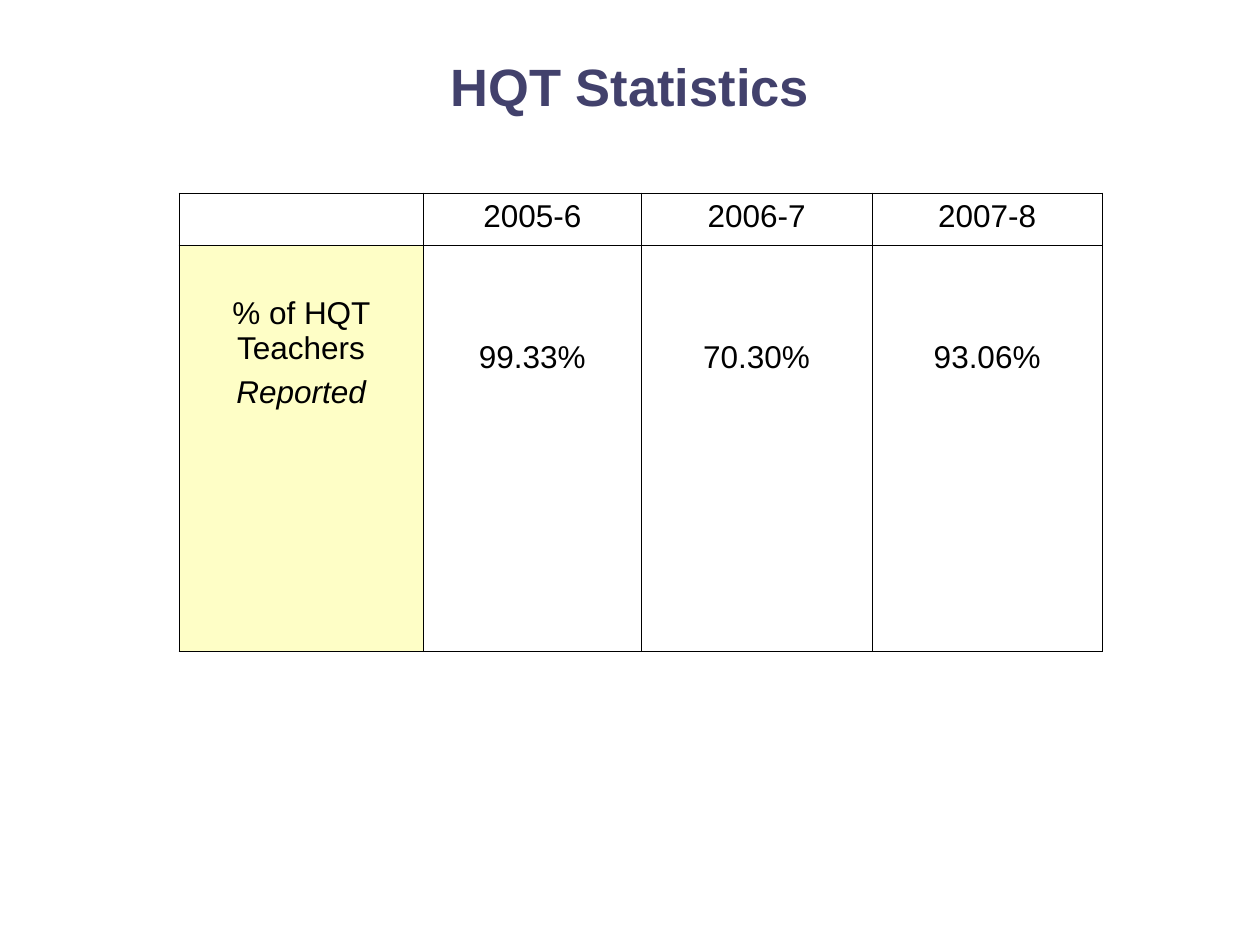
"""Build the HQT Statistics slide with its title and yearly table."""
from lxml import etree
from pptx import Presentation
from pptx.dml.color import RGBColor
from pptx.enum.text import MSO_ANCHOR, PP_ALIGN
from pptx.oxml.ns import qn
from pptx.util import Inches, Pt

CENTER = PP_ALIGN.CENTER
MIDDLE = MSO_ANCHOR.MIDDLE
TOP = MSO_ANCHOR.TOP
BLACK = RGBColor(0x00, 0x00, 0x00)
INDIGO = RGBColor(0x42, 0x41, 0x6C)
CREAM = RGBColor(0xFE, 0xFE, 0xC6)

TITLE_FORMAT = {"name": "Arial", "size": Pt(30), "bold": True}
CELL_FORMAT = {"name": "Arial", "size": Pt(18)}
ITALIC_FORMAT = {**CELL_FORMAT, "italic": True}

COLUMN_WIDTHS = [1.94, 1.73, 1.83, 1.83]
ROW_HEIGHTS = [0.42, 3.22]
TABLE_ROWS = [
    [[], ["2005-6"], ["2006-7"], ["2007-8"]],
    [["% of HQT Teachers", "Reported"], ["99.33%"], ["70.30%"], ["93.06%"]],
]
TOP_MARGINS = [[0.05] * 4, [0.4] + [0.75] * 3]
OUTER_LINE, INNER_LINE = Pt(0.23), Pt(0.45)


def add_span(para, text, formats, color):
    para.alignment = CENTER
    span = para.add_run()
    span.text = text
    for name, value in formats.items():
        setattr(span.font, name, value)
    span.font.color.rgb = color


def set_borders(cell, widths):
    properties = cell._tc.get_or_add_tcPr()
    for position, (side, width) in enumerate(widths.items()):
        line = etree.Element(qn(f"a:ln{side}"), w=str(width))
        fill = etree.SubElement(line, qn("a:solidFill"))
        etree.SubElement(fill, qn("a:srgbClr"), val=str(BLACK))
        properties.insert(position, line)


deck = Presentation()
deck.slide_width, deck.slide_height = Inches(10), Inches(7.5)
page = deck.slides.add_slide(deck.slide_layouts[6])

title_box = page.shapes.add_textbox(Inches(0.5), Inches(0.33), Inches(9), Inches(0.7))
title_frame = title_box.text_frame
title_frame.word_wrap = True
title_frame.vertical_anchor = MIDDLE
add_span(title_frame.paragraphs[0], "HQT Statistics", TITLE_FORMAT, INDIGO)

table = page.shapes.add_table(
    len(ROW_HEIGHTS), len(COLUMN_WIDTHS), Inches(1.42), Inches(1.53),
    Inches(sum(COLUMN_WIDTHS)), Inches(sum(ROW_HEIGHTS)),
).table
table.first_row = False
table.horz_banding = False
for column, width in zip(table.columns, COLUMN_WIDTHS):
    column.width = Inches(width)
for row, height in zip(table.rows, ROW_HEIGHTS):
    row.height = Inches(height)

last_row, last_column = len(ROW_HEIGHTS) - 1, len(COLUMN_WIDTHS) - 1
for row_index, row_texts in enumerate(TABLE_ROWS):
    for column_index, texts in enumerate(row_texts):
        cell = table.cell(row_index, column_index)
        cell.vertical_anchor = TOP
        cell.margin_top = Inches(TOP_MARGINS[row_index][column_index])
        if row_index == 1 and column_index == 0:
            cell.fill.solid()
            cell.fill.fore_color.rgb = CREAM
        else:
            cell.fill.background()
        set_borders(cell, {
            "L": OUTER_LINE if column_index == 0 else INNER_LINE,
            "R": OUTER_LINE if column_index == last_column else INNER_LINE,
            "T": OUTER_LINE if row_index == 0 else INNER_LINE,
            "B": OUTER_LINE if row_index == last_row else INNER_LINE,
        })
        for text_index, text in enumerate(texts):
            if text_index == 0:
                para = cell.text_frame.paragraphs[0]
            else:
                para = cell.text_frame.add_paragraph()
                para.space_before = Pt(4.5)
            formats = ITALIC_FORMAT if text == "Reported" else CELL_FORMAT
            add_span(para, text, formats, BLACK)

deck.save("out.pptx")
